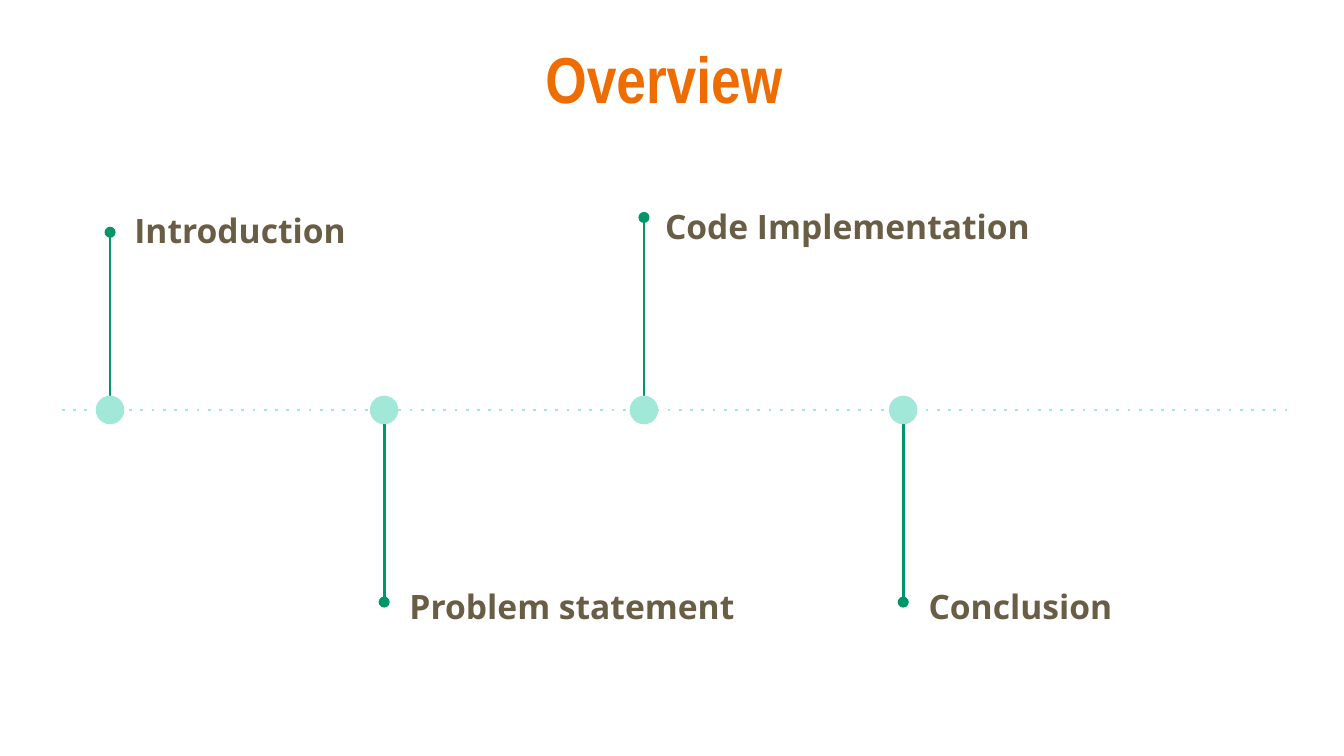
from dataclasses import dataclass

from lxml import etree
from pptx import Presentation
from pptx.dml.color import RGBColor
from pptx.enum.shapes import MSO_CONNECTOR, MSO_SHAPE
from pptx.enum.text import MSO_ANCHOR, MSO_AUTO_SIZE, PP_ALIGN
from pptx.oxml.ns import qn
from pptx.slide import Slide
from pptx.text.text import TextFrame
from pptx.util import Cm, Pt

STRAIGHT = MSO_CONNECTOR.STRAIGHT
OVAL = MSO_SHAPE.OVAL
LEFT, CENTER = PP_ALIGN.LEFT, PP_ALIGN.CENTER
TOP, MIDDLE = MSO_ANCHOR.TOP, MSO_ANCHOR.MIDDLE
NO_AUTOFIT = MSO_AUTO_SIZE.NONE

COLORS = {"title": "EF6C00", "axis": "A1E8D9", "stem": "009668", "label": "695D46"}
AXIS_Y = 7.75
AXIS_LEFT, AXIS_RIGHT = 1.17, 24.33
NODE_RADIUS = 0.27
LABEL_HEIGHT = 2.69


@dataclass
class Milestone:
    """A timeline point; lengths are in centimetres."""
    text: str
    x: float
    tip_y: float
    label_left: float
    label_top: float
    label_width: float = 7.39


MILESTONES = [
    Milestone("Introduction", 2.08, 4.39, 2.29, 3.61),
    Milestone("Problem statement", 7.26, 11.38, 7.49, 10.72),
    Milestone("Code Implementation", 12.17, 4.11, 12.32, 3.53, 9.4),
    Milestone("Conclusion", 17.07, 11.38, 17.3, 10.72),
]


def write_text(frame: TextFrame, text: str, *, font: str, size: float, color: str,
               align=LEFT, anchor=TOP, spacing: float = 1.0) -> None:
    frame.word_wrap = True
    frame.auto_size = NO_AUTOFIT
    frame.vertical_anchor = anchor
    frame.margin_left = frame.margin_right = Cm(0.25)
    frame.margin_top = frame.margin_bottom = Cm(0.25)
    paragraph = frame.paragraphs[0]
    paragraph.alignment = align
    paragraph.line_spacing = spacing
    paragraph.space_before = Pt(0)
    run = paragraph.add_run()
    run.text = text
    run.font.name = font
    run.font.size = Pt(size)
    run.font.bold = True
    run.font.color.rgb = RGBColor.from_string(COLORS[color])


def draw_line(slide: Slide, start: tuple[float, float], end: tuple[float, float],
              color: str, detail: str, value_name: str, value: str) -> None:
    """Draw a line with one extra line property, such as a dash or an arrowhead."""
    connector = slide.shapes.add_connector(STRAIGHT, *map(Cm, start + end))
    connector.line.color.rgb = RGBColor.from_string(COLORS[color])
    connector.line.width = Pt(1.5)
    properties = connector._element.spPr
    etree.SubElement(properties.find(qn("a:ln")), qn(detail)).set(value_name, value)
    etree.SubElement(properties, qn("a:effectLst"))


def draw_milestone(slide: Slide, milestone: Milestone) -> None:
    direction = 1 if milestone.tip_y > AXIS_Y else -1
    draw_line(slide, (milestone.x, AXIS_Y + direction * NODE_RADIUS),
              (milestone.x, milestone.tip_y), "stem", "a:tailEnd", "type", "oval")

    node = slide.shapes.add_shape(
        OVAL, Cm(milestone.x - NODE_RADIUS), Cm(AXIS_Y - NODE_RADIUS),
        Cm(2 * NODE_RADIUS), Cm(2 * NODE_RADIUS))
    node.shadow.inherit = False
    node.fill.solid()
    node.fill.fore_color.rgb = RGBColor.from_string(COLORS["axis"])
    node.line.fill.background()

    label = slide.shapes.add_textbox(
        Cm(milestone.label_left), Cm(milestone.label_top),
        Cm(milestone.label_width), Cm(LABEL_HEIGHT))
    write_text(label.text_frame, milestone.text, font="Open Sans", size=18,
               color="label", spacing=1.15)


def main() -> None:
    presentation = Presentation()
    presentation.slide_width, presentation.slide_height = Cm(25.4), Cm(14.29)
    slide = presentation.slides.add_slide(presentation.slide_layouts.get_by_name("Title Only"))

    title = slide.shapes.title
    title.left, title.top = Cm(0.71), Cm(0.48)
    title.width, title.height = Cm(23.67), Cm(1.96)
    write_text(title.text_frame, "Overview", font="Arial Narrow", size=34.8,
               color="title", align=CENTER, anchor=MIDDLE)

    draw_line(slide, (AXIS_LEFT, AXIS_Y), (AXIS_RIGHT, AXIS_Y),
              "axis", "a:prstDash", "val", "dot")
    for milestone in MILESTONES:
        draw_milestone(slide, milestone)
    presentation.save("out.pptx")


if __name__ == "__main__":
    main()
